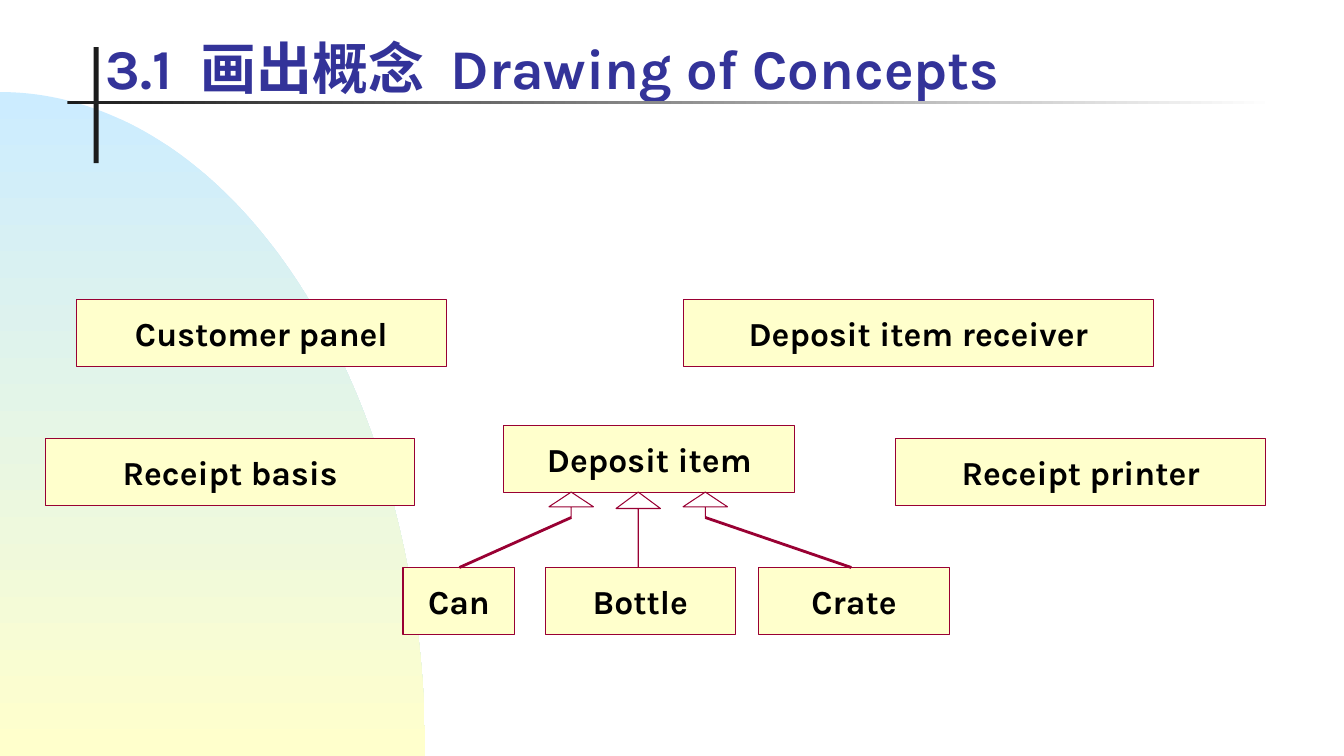
from dataclasses import dataclass
from math import cos, pi, sin

from lxml import etree
from pptx import Presentation
from pptx import util as u
from pptx.dml.color import RGBColor
from pptx.enum import shapes, text
from pptx.oxml.ns import qn


@dataclass(frozen=True)
class Theme:
    font: str = "Karla"
    title_size: int = 40
    label_size: int = 24
    title: str = "333399"
    label: str = "000000"
    outline: str = "990033"
    box: str = "FFFFCC"
    sky: str = "CCECFF"
    ink: str = "1C1C1C"
    paper: str = "FFFFFF"


class ConceptSlide:
    def __init__(self, deck, theme):
        self.theme = theme
        self.page = deck.slides.add_slide(deck.slide_layouts[5])

    def add_run(self, para, wording, size, color, spacing=0):
        span = para.add_run()
        span.text = wording
        span.font.name = self.theme.font
        span.font.size = u.Pt(size)
        span.font.bold = True
        span.font.color.rgb = RGBColor.from_string(color)
        if spacing:
            span.font._element.set("spc", str(spacing))

    def set_gradient(self, shape, colors, angle):
        shape.fill.gradient()
        shape.fill.gradient_angle = angle
        for stop, color, position in zip(shape.fill.gradient_stops, colors, (0, 1)):
            stop.color.rgb = RGBColor.from_string(color)
            stop.position = position

    def set_outline(self, shape):
        shape.line.color.rgb = RGBColor.from_string(self.theme.outline)
        shape.line.width = u.Pt(0)

    def shape(self, kind, left, top, width, height):
        shape = self.page.shapes.add_shape(
            kind, u.Cm(left), u.Cm(top), u.Cm(width), u.Cm(height))
        shape.shadow.inherit = False
        return shape

    def quarter_ellipse(self, top, width, height, steps=90):
        bottom = top + height
        angles = [pi / 2 * step / steps for step in range(steps + 1)]
        points = [(u.Cm(width * sin(a)), u.Cm(bottom - height * cos(a))) for a in angles]
        builder = self.page.shapes.build_freeform(*points[0])
        builder.add_line_segments(points[1:] + [(0, u.Cm(bottom))], close=True)
        ellipse = builder.convert_to_shape()
        ellipse.shadow.inherit = False
        ellipse.line.fill.background()
        self.set_gradient(ellipse, (self.theme.sky, self.theme.box), 270)

    def bar(self, left, top, width, height, fade=False):
        bar = self.shape(shapes.MSO_SHAPE.RECTANGLE, left, top, width, height)
        bar.line.fill.background()
        if fade:
            self.set_gradient(bar, (self.theme.ink, self.theme.paper), 0)
        else:
            bar.fill.solid()
            bar.fill.fore_color.rgb = RGBColor.from_string(self.theme.ink)

    def title(self, parts, left, top, width, height):
        title = self.page.shapes.title
        title.left, title.top = u.Cm(left), u.Cm(top)
        title.width, title.height = u.Cm(width), u.Cm(height)
        frame = title.text_frame
        frame.auto_size = text.MSO_AUTO_SIZE.NONE
        frame.vertical_anchor = text.MSO_ANCHOR.BOTTOM
        frame.margin_top = frame.margin_bottom = 0
        para = frame.paragraphs[0]
        para.alignment = text.PP_ALIGN.LEFT
        for index, part in enumerate(parts):
            if index:
                self.add_run(para, " ", self.theme.title_size, self.theme.title, 1000)
            self.add_run(para, part, self.theme.title_size, self.theme.title)

    def concept(self, name, left, top, width, height=1.7):
        box = self.shape(shapes.MSO_SHAPE.RECTANGLE, left, top, width, height)
        box.fill.solid()
        box.fill.fore_color.rgb = RGBColor.from_string(self.theme.box)
        self.set_outline(box)
        frame = box.text_frame
        frame.word_wrap = True
        frame.vertical_anchor = text.MSO_ANCHOR.MIDDLE
        para = frame.paragraphs[0]
        para.alignment = text.PP_ALIGN.CENTER
        self.add_run(para, name, self.theme.label_size, self.theme.label)

    def inheritance_arrow(self, center, top, height, head, width=1.12):
        arrow = self.shape(
            shapes.MSO_SHAPE.UP_ARROW, center - width / 2, top, width, height)
        arrow.adjustments[0] = 0
        arrow.adjustments[1] = head
        arrow.fill.background()
        self.set_outline(arrow)

    def line(self, x1, y1, x2, y2):
        line = self.page.shapes.add_connector(
            shapes.MSO_CONNECTOR.STRAIGHT, u.Cm(x1), u.Cm(y1), u.Cm(x2), u.Cm(y2))
        self.set_outline(line)
        etree.SubElement(line._element.spPr, qn("a:effectLst"))


def main():
    deck = Presentation()
    deck.slide_width, deck.slide_height = u.Cm(33.88), u.Cm(19.05)
    slide = ConceptSlide(deck, Theme())

    slide.quarter_ellipse(2.32, 10.72, 16.73)
    slide.bar(2.36, 1.19, 0.13, 2.92)
    slide.bar(1.7, 2.54, 30.45, 0.08, fade=True)
    slide.title(("3.1", "画出概念", "Drawing of Concepts"), 2.41, 0.64, 23.98, 1.9)

    child_top = 14.3
    for name, left, top, width in (
        ("Customer panel", 1.93, 7.54, 9.32),
        ("Deposit item receiver", 17.22, 7.54, 11.86),
        ("Receipt basis", 1.14, 11.04, 9.32),
        ("Deposit item", 12.7, 10.72, 7.34),
        ("Receipt printer", 22.58, 11.04, 9.32),
        ("Can", 10.16, child_top, 2.82),
        ("Bottle", 13.74, child_top, 4.8),
        ("Crate", 19.13, child_top, 4.8),
    ):
        slide.concept(name, left, top, width)

    arrow_top, short = 12.4, 0.64
    slide.inheritance_arrow(16.09, arrow_top, child_top - arrow_top, 0.37)
    for center, child_center in ((14.4, 11.58), (17.78, 21.46)):
        slide.inheritance_arrow(center, arrow_top, short, 0.58)
        slide.line(center, arrow_top + short, child_center, child_top)

    deck.save("out.pptx")


if __name__ == "__main__":
    main()
